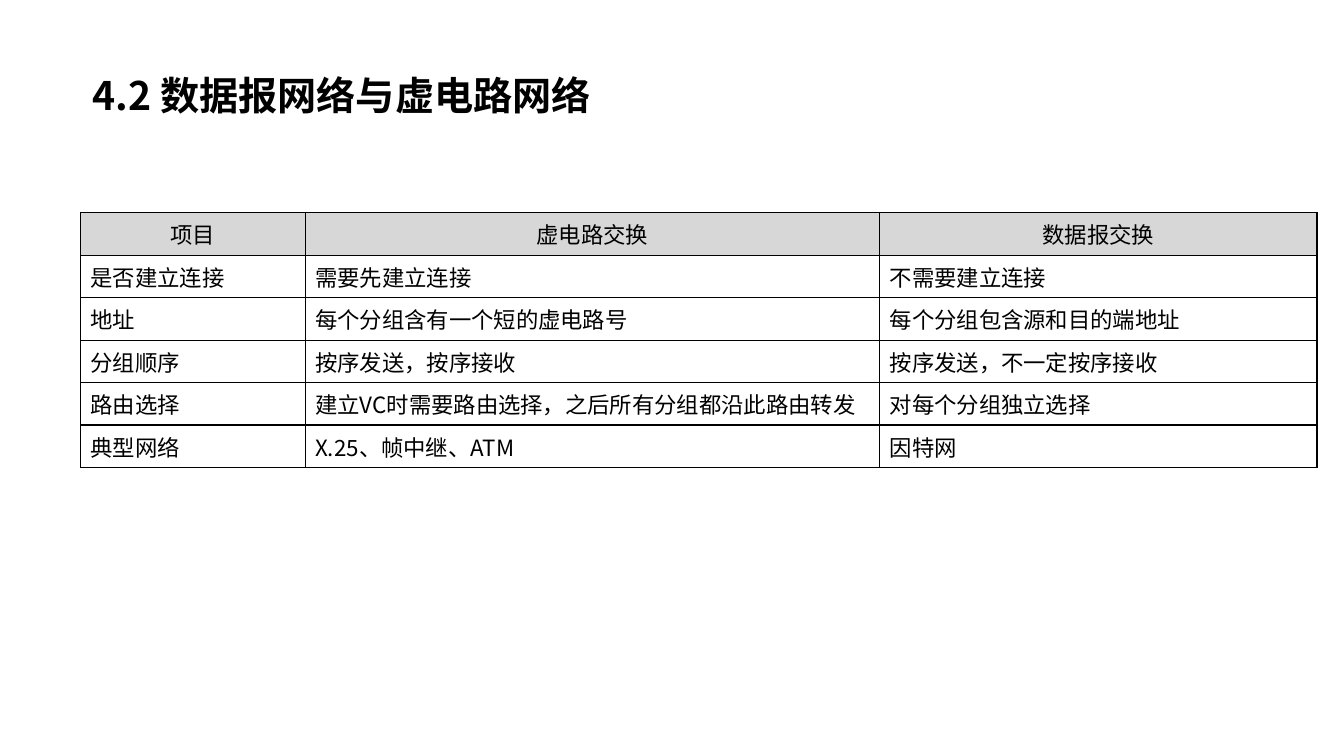
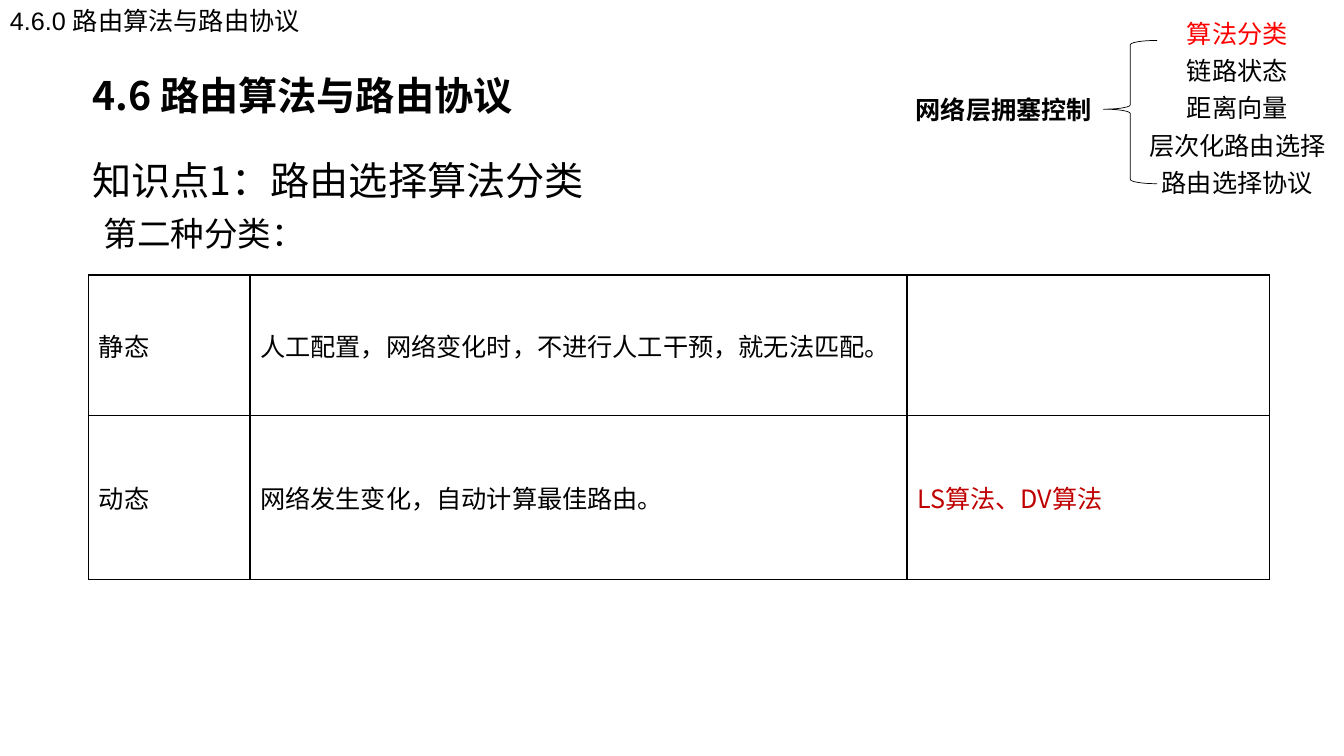
from lxml.etree import SubElement
from pptx import Presentation
from pptx.dml.color import RGBColor
from pptx.enum.shapes import MSO_SHAPE as Preset
from pptx.enum.text import MSO_ANCHOR as Anchor, MSO_AUTO_SIZE as AutoSize, PP_ALIGN as Align
from pptx.oxml.ns import qn
from pptx.util import Cm, Pt

COLORS = {
    "text": "000000",
    "header": "D7D7D7",
    "current": "FF0000",
    "answer": "C00000",
    "page": "FFFFFF",
}
CJK = "Noto Sans CJK SC"
WIDE = {"margin_left": Cm(0.3), "margin_right": Cm(0.3), "margin_top": Cm(0.15), "margin_bottom": Cm(0.15)}
GROW = {"auto_size": AutoSize.SHAPE_TO_FIT_TEXT}
UNWRAPPED = {**GROW, "word_wrap": False}

STYLES = {
    "title": {"frame": {**WIDE, **GROW}, "font": {"size": Pt(28), "bold": True}},
    "point": {"frame": {**WIDE, "vertical_anchor": Anchor.MIDDLE}, "paragraph": {"line_spacing": 1.5},
              "font": {"size": Pt(28)}},
    "lead": {"frame": GROW, "font": {"size": Pt(24)}},
    "section": {"frame": GROW, "font": {"size": Pt(18), "name": "Arial"}},
    "root": {"frame": UNWRAPPED, "font": {"size": Pt(18), "bold": True}},
    "topic": {"frame": UNWRAPPED, "paragraph": {"alignment": Align.CENTER, "line_spacing": Pt(16)},
              "font": {"size": Pt(18)}},
    "heading": {"paragraph": {"alignment": Align.CENTER}, "font": {"size": Pt(16)}},
    "compact": {"font": {"size": Pt(16)}},
    "roomy": {"font": {"size": Pt(18)}},
}


def write(frame, text, style, color="text"):
    paragraph = frame.paragraphs[0]
    run = paragraph.add_run()
    run.text = text
    run.font.name = CJK
    run.font.color.rgb = RGBColor.from_string(COLORS[color])
    for part, target in (("frame", frame), ("paragraph", paragraph), ("font", run.font)):
        for attribute, value in STYLES[style].get(part, {}).items():
            setattr(target, attribute, value)
    SubElement(run.font._element, qn("a:ea"), typeface=CJK)


def add_text(shapes, box, text, style, color="text"):
    frame = shapes.add_textbox(*map(Cm, box)).text_frame
    frame.word_wrap = True
    write(frame, text, style, color)


prs = Presentation()
prs.slide_width, prs.slide_height = Cm(33.87), Cm(19.05)

PAGES = [
    {
        "title": "4.2 数据报网络与虚电路网络",
        "origin": (2.03, 5.36),
        "columns": (5.66, 14.48, 11.02),
        "heights": (1.07,) * 6,
        "style": "compact",
        "header_rows": 1,
        "rows": [
            ("项目", "虚电路交换", "数据报交换"),
            ("是否建立连接", "需要先建立连接", "不需要建立连接"),
            ("地址", "每个分组含有一个短的虚电路号", "每个分组包含源和目的端地址"),
            ("分组顺序", "按序发送，按序接收", "按序发送，不一定按序接收"),
            ("路由选择", "建立VC时需要路由选择，之后所有分组都沿此路由转发", "对每个分组独立选择"),
            ("典型网络", "X.25、帧中继、ATM", "因特网"),
        ],
    },
    {
        "title": "4.6 路由算法与路由协议",
        "origin": (2.24, 6.93),
        "columns": (4.06, 16.56, 9.14),
        "heights": (3.53, 4.14),
        "style": "roomy",
        "header_rows": 0,
        "rows": [
            ("静态", "人工配置，网络变化时，不进行人工干预，就无法匹配。", ""),
            ("动态", "网络发生变化，自动计算最佳路由。", "LS算法、DV算法"),
        ],
        "answers": {"LS算法、DV算法"},
    },
]

for page in PAGES:
    slide = prs.slides.add_slide(prs.slide_layouts[6])
    add_text(slide.shapes, (2.03, 1.65, 24.51, 1.5), page["title"], "title")

    columns, heights = page["columns"], page["heights"]
    size = Cm(sum(columns)), Cm(sum(heights))
    table = slide.shapes.add_table(len(heights), len(columns), *map(Cm, page["origin"]), *size).table
    table.first_row = table.horz_banding = False
    for column, width in zip(table.columns, columns):
        column.width = Cm(width)
    for row, height in zip(table.rows, heights):
        row.height = Cm(height)

    for r, texts in enumerate(page["rows"]):
        is_header = r < page["header_rows"]
        for c, text in enumerate(texts):
            cell = table.cell(r, c)
            cell.vertical_anchor = Anchor.MIDDLE
            properties = cell._tc.get_or_add_tcPr()
            for side in ("lnL", "lnR", "lnT", "lnB"):
                border = SubElement(properties, qn(f"a:{side}"), w=str(Pt(1)))
                SubElement(SubElement(border, qn("a:solidFill")), qn("a:srgbClr"), val=COLORS["text"])
            cell.fill.solid()
            cell.fill.fore_color.rgb = RGBColor.from_string(COLORS["header" if is_header else "page"])
            if text:
                color = "answer" if text in page.get("answers", ()) else "text"
                write(cell.text_frame, text, "heading" if is_header else page["style"], color)

add_text(slide.shapes, (2.03, 2.92, 30.89, 2.64), "知识点1：路由选择算法分类", "point")
add_text(slide.shapes, (2.36, 5.23, 12.29, 1.27), "第二种分类：", "lead")
add_text(slide.shapes, (0, 0, 9.07, 1.02), "4.6.0 路由算法与路由协议", "section")

outline = slide.shapes.add_group_shape().shapes
brace = outline.add_shape(Preset.LEFT_BRACE, Cm(27.81), Cm(1.02), Cm(1.35), Cm(3.61))
brace.adjustments[0], brace.adjustments[1] = 0.08, 0.48
brace.shadow.inherit = False
brace.fill.background()
brace.line.color.rgb = RGBColor.from_string(COLORS["text"])
brace.line.width = Pt(0.5)

add_text(outline, (22.83, 2.24, 5.03, 1.02), "网络层拥塞控制", "root")
topics = ("算法分类", "链路状态", "距离向量", "层次化路由选择", "路由选择协议")
for i, topic in enumerate(topics):
    add_text(outline, (28.68, 0.53 + 0.94 * i, 5, 0.84), topic, "topic", "text" if i else "current")

prs.save("out.pptx")
